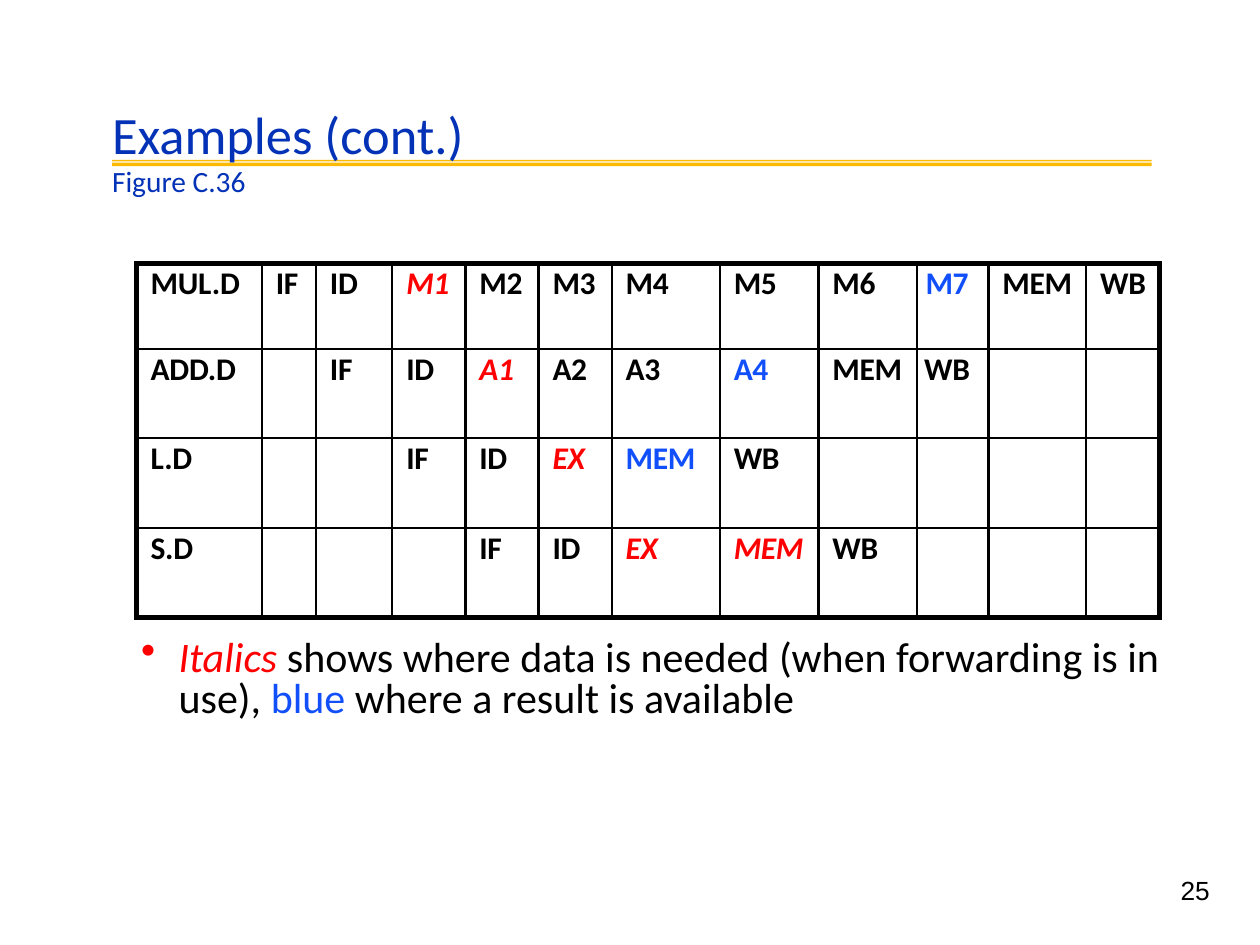
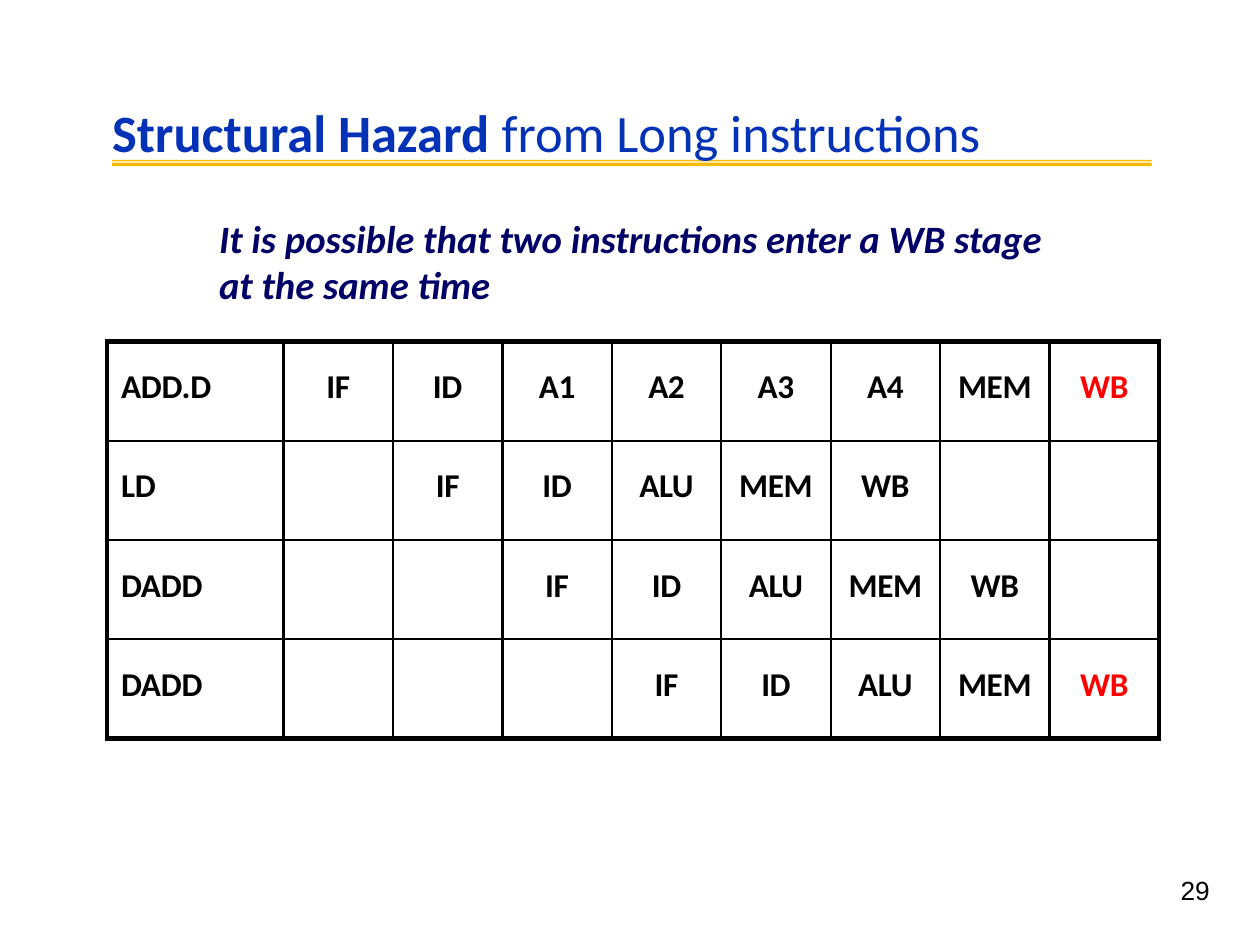
import pptx
import pptx.dml.color
import pptx.enum.text
import pptx.oxml.ns
import pptx.util
from lxml import etree

Pt = pptx.util.Pt
RGBColor = pptx.dml.color.RGBColor
ALIGN = pptx.enum.text.PP_ALIGN
ANCHOR = pptx.enum.text.MSO_ANCHOR
qn = pptx.oxml.ns.qn

BLACK = RGBColor(0x00, 0x00, 0x00)
RED = RGBColor(0xFF, 0x00, 0x00)
BLUE = RGBColor(0x11, 0x4F, 0xFB)
NAVY = RGBColor(0x00, 0x00, 0x66)
TITLE_BLUE = RGBColor(0x03, 0x32, 0xB7)
GOLD = RGBColor(0xFB, 0xBA, 0x03)

# Highlights of pipeline stages
NEEDED = {"color": RED, "italic": True}
AVAILABLE = {"color": BLUE}
CLASH = {"color": RED}

TITLE_ONLY = 5
BODY_FONT = "Calibri"
NUMBER_FONT = "Arial"
THICK, THIN = 3, 1.5
NAME_INDENT = 8


class Lecture:
    """Holds the shared style and the current page."""

    def __init__(self):
        self.deck = pptx.Presentation()
        self.deck.slide_width, self.deck.slide_height = Pt(720), Pt(540)
        self.page = None

    def start_page(self, number):
        self.page = self.deck.slides.add_slide(self.deck.slide_layouts[TITLE_ONLY])
        self.band()
        frame = self.text_box(674.6, 499.7, 24, 34)
        self.span(frame.paragraphs[0], str(number), 15, font=NUMBER_FONT)

    def span(self, para, text, size, color=BLACK, bold=False, italic=False,
             font=BODY_FONT, tracking=0):
        span = para.add_run()
        span.text = text
        span.font.name, span.font.size = font, Pt(size)
        span.font.bold, span.font.italic = bold, italic
        span.font.color.rgb = color
        if tracking:
            span.font._element.set("spc", str(round(tracking * 100)))

    def frame(self, box, left, top, width, height, inset_top):
        box.left, box.top = Pt(left), Pt(top)
        box.width, box.height = Pt(width), Pt(height)
        frame = box.text_frame
        frame.word_wrap = True
        frame.auto_size = pptx.enum.text.MSO_AUTO_SIZE.NONE
        frame.margin_left = frame.margin_right = frame.margin_bottom = 0
        frame.margin_top = Pt(inset_top)
        return frame

    def text_box(self, left, top, width, height, inset_top=0):
        box = self.page.shapes.add_textbox(0, 0, 0, 0)
        return self.frame(box, left, top, width, height, inset_top)

    def band(self):
        """Draws the double rule under the title, behind its text."""
        left, right = Pt(64), Pt(658)
        builder = None
        for top, bottom in ((91.4, 92.2), (92.9, 95)):
            if builder is None:
                builder = self.page.shapes.build_freeform(left, Pt(top))
            else:
                builder.move_to(left, Pt(top))
            builder.add_line_segments(
                [(right, Pt(top)), (right, Pt(bottom)), (left, Pt(bottom))])
        band = builder.convert_to_shape()
        band.shadow.inherit = False
        band.fill.solid()
        band.fill.fore_color.rgb = GOLD
        band.line.fill.background()
        self.page.shapes.title._element.addprevious(band._element)

    def title(self, top, height, inset_top, lines):
        """Each line is its size, its spacing and a list of (text, bold)."""
        frame = self.frame(self.page.shapes.title, 64, top, 548, height, inset_top)
        frame.vertical_anchor = ANCHOR.MIDDLE
        for index, (size, spacing, parts) in enumerate(lines):
            para = frame.add_paragraph() if index else frame.paragraphs[0]
            para.alignment = ALIGN.LEFT
            para.space_before = Pt(0)
            para.line_spacing = spacing
            for text, bold in parts:
                self.span(para, text, size, TITLE_BLUE, bold)

    def bullet(self, para, indent, color):
        properties = para._p.get_or_add_pPr()
        properties.set("marL", str(Pt(indent)))
        properties.set("indent", str(-Pt(indent)))
        tint = etree.SubElement(properties, qn("a:buClr"))
        etree.SubElement(tint, qn("a:srgbClr"), val=str(color))
        etree.SubElement(properties, qn("a:buChar"), char="•")

    def borders(self, cell, widths):
        properties = cell._tc.get_or_add_tcPr()
        for side in "LRTB":
            line = etree.SubElement(properties, qn("a:ln" + side),
                                    w=str(Pt(widths[side])))
            fill = etree.SubElement(line, qn("a:solidFill"))
            etree.SubElement(fill, qn("a:srgbClr"), val=str(BLACK))
        cell.fill.background()

    def pipeline(self, left, top, widths, heights, instructions, size,
                 inset_top, centred, inset_right=0):
        """Each instruction enters the pipeline one cycle after the last."""
        rows, columns = len(heights), len(widths)
        table = self.page.shapes.add_table(
            rows, columns, Pt(left), Pt(top), Pt(sum(widths)), Pt(sum(heights))).table
        table.first_row = table.horz_banding = False
        for column, width in zip(table.columns, widths):
            column.width = Pt(width)
        for row, height in zip(table.rows, heights):
            row.height = Pt(height)
        for r in range(rows):
            name, stages, marks = instructions[r]
            words = [name] + [""] * r + stages.split()
            words += [""] * (columns - len(words))
            for c, word in enumerate(words):
                cell = table.cell(r, c)
                self.borders(cell, {
                    "L": THICK if c == 0 else THIN,
                    "R": THICK if c == columns - 1 else THIN,
                    "T": THICK if r == 0 else THIN,
                    "B": THICK if r == rows - 1 else THIN})
                if not word:
                    continue
                middle = c in centred
                cell.margin_left = Pt(0 if middle else NAME_INDENT)
                cell.margin_right = Pt(inset_right if middle else 0)
                cell.margin_top, cell.margin_bottom = Pt(inset_top), 0
                para = cell.text_frame.paragraphs[0]
                para.alignment = ALIGN.CENTER if middle else ALIGN.LEFT
                self.span(para, word, size, bold=True,
                          tracking=-0.2 if c else -0.1, **marks.get(word, {}))


def examples(lecture):
    lecture.start_page(25)
    lecture.title(58.3, 55.4, 0.7, [
        (30, Pt(35.2), [("Examples (cont.)", False)]),
        (16.8, Pt(19.3), [("Figure C.36", False)])])

    # Explanation of the highlights
    frame = lecture.text_box(80.6, 361.4, 584.6, 52.6, 3.6)
    para = frame.paragraphs[0]
    lecture.bullet(para, 21.5, RED)
    para.line_spacing = Pt(23.9)
    lecture.span(para, "Italics ", 24, **NEEDED)
    lecture.span(para, "shows where data is needed (when forwarding is in use), ", 24)
    lecture.span(para, "blue ", 24, **AVAILABLE)
    lecture.span(para, "where a result is available", 24)

    # Pipeline timing
    lecture.pipeline(
        78, 150.5,
        [71.6, 31, 43.6] + [41.8] * 3 + [61.8, 56.4, 56.4, 40.8, 55.8, 41.8],
        [48.8] + [51.2] * 3,
        [("MUL.D", "IF ID M1 M2 M3 M4 M5 M6 M7 MEM WB",
          {"M1": NEEDED, "M7": AVAILABLE}),
         ("ADD.D", "IF ID A1 A2 A3 A4 MEM WB", {"A1": NEEDED, "A4": AVAILABLE}),
         ("L.D", "IF ID EX MEM WB", {"EX": NEEDED, "MEM": AVAILABLE}),
         ("S.D", "IF ID EX MEM WB", {"EX": NEEDED, "MEM": NEEDED})],
        size=18, inset_top=0.8, centred=[9], inset_right=6.5)


def structural_hazard(lecture):
    lecture.start_page(29)
    lecture.title(46.1, 47.5, 10.8, [
        (30, 1.0, [("Structural Hazard ", True),
                   ("from Long instructions", False)])])

    # Pipeline timing
    lecture.pipeline(
        61.2, 195.2, [100.8] + [62.55] * 8, [56.7] * 4,
        [("ADD.D", "IF ID A1 A2 A3 A4 MEM WB", {"WB": CLASH}),
         ("LD", "IF ID ALU MEM WB", {}),
         ("DADD", "IF ID ALU MEM WB", {}),
         ("DADD", "IF ID ALU MEM WB", {"WB": CLASH})],
        size=19, inset_top=14.6, centred=range(1, 9))

    # Statement of the hazard
    frame = lecture.text_box(125.2, 121.7, 479.5, 54, 0.9)
    lecture.span(
        frame.paragraphs[0],
        "It is possible that two instructions enter a WB stage at the same time",
        22.1, NAVY, bold=True, italic=True)


def main():
    lecture = Lecture()
    examples(lecture)
    structural_hazard(lecture)
    lecture.deck.save("out.pptx")


if __name__ == "__main__":
    main()
